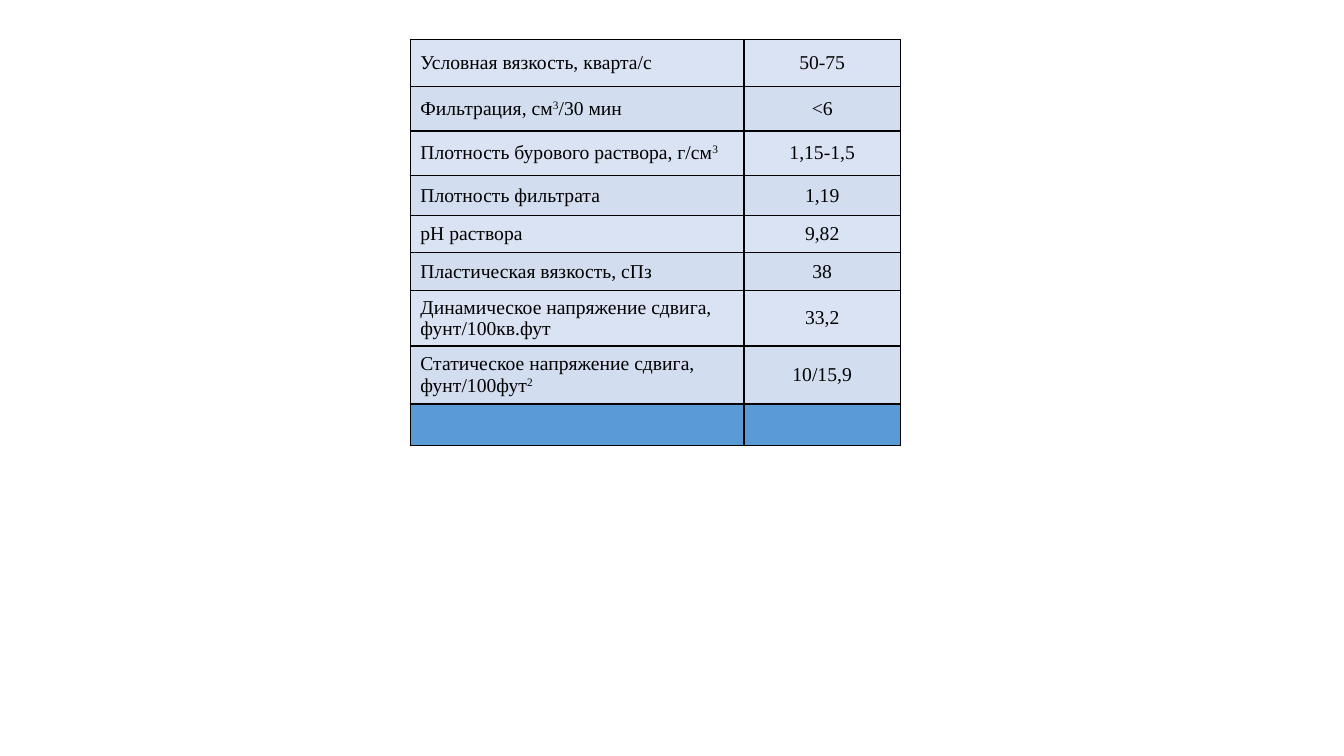
"""Build a slide with a table of drilling mud properties."""
from lxml import etree
from pptx import Presentation
from pptx.dml.color import RGBColor
from pptx.enum.text import MSO_ANCHOR, PP_ALIGN
from pptx.oxml.ns import qn
from pptx.util import Cm, Pt

LEFT, CENTER = PP_ALIGN.LEFT, PP_ALIGN.CENTER
MIDDLE = MSO_ANCHOR.MIDDLE
BLACK = RGBColor(0x00, 0x00, 0x00)
BLUE = RGBColor(0x5B, 0x9B, 0xD5)
BANDS = [RGBColor(0xDA, 0xE3, 0xF3), RGBColor(0xD2, 0xDE, 0xEF)]

TABLE_LEFT = 10.34
COL_WIDTHS = [8.41, 3.94]
PROPERTIES = [
    (1.18, ["Условная вязкость, кварта/с"], "50-75"),
    (1.12, ["Фильтрация, см", "3", "/30 мин"], "<6"),
    (1.12, ["Плотность бурового раствора, г/см", "3"], "1,15-1,5"),
    (1.02, ["Плотность фильтрата"], "1,19"),
    (0.93, ["рН раствора"], "9,82"),
    (0.95, ["Пластическая вязкость, сПз"], "38"),
    (1.4, ["Динамическое напряжение сдвига, фунт/100кв.фут"], "33,2"),
    (1.46, ["Статическое напряжение сдвига, фунт/100фут", "2"], "10/15,9"),
]


def add_text(p, text, size=14, font="Times New Roman", color=BLACK, superscript=False):
    r = p.add_run()
    r.text = text
    r.font.size = Pt(size)
    r.font.name = font
    r.font.color.rgb = color
    if superscript:
        r._r.get_or_add_rPr().set("baseline", "30000")


def add_grid(slide, top, heights, fills):
    sp = slide.shapes.add_table(len(heights), len(COL_WIDTHS), Cm(TABLE_LEFT), Cm(top),
                                Cm(sum(COL_WIDTHS)), Cm(sum(heights)))
    table = sp.table
    table.first_row = False
    table.horz_banding = False
    for col, width in zip(table.columns, COL_WIDTHS):
        col.width = Cm(width)
    for i, (row, height) in enumerate(zip(table.rows, heights)):
        row.height = Cm(height)
        for cell in row.cells:
            tcPr = cell._tc.get_or_add_tcPr()
            for side in ("a:lnL", "a:lnR", "a:lnT", "a:lnB"):
                ln = etree.SubElement(tcPr, qn(side), w=str(Pt(1)))
                line_fill = etree.SubElement(ln, qn("a:solidFill"))
                etree.SubElement(line_fill, qn("a:srgbClr"), val=str(BLACK))
            cell.fill.solid()
            cell.fill.fore_color.rgb = fills[i % len(fills)]
            cell.vertical_anchor = MIDDLE
    return table


prs = Presentation()
prs.slide_width, prs.slide_height = Cm(33.87), Cm(19.05)
slide = prs.slides.add_slide(prs.slide_layouts[6])

table = add_grid(slide, 1, [height for height, _, _ in PROPERTIES], BANDS)
for i, (_, name_parts, value) in enumerate(PROPERTIES):
    for j, (parts, align) in enumerate([(name_parts, LEFT), ([value], CENTER)]):
        p = table.cell(i, j).text_frame.paragraphs[0]
        p.alignment = align
        for k, part in enumerate(parts):
            add_text(p, part, superscript=k == 1)

add_grid(slide, 10.19, [1.04], [BLUE])

prs.save("out.pptx")
